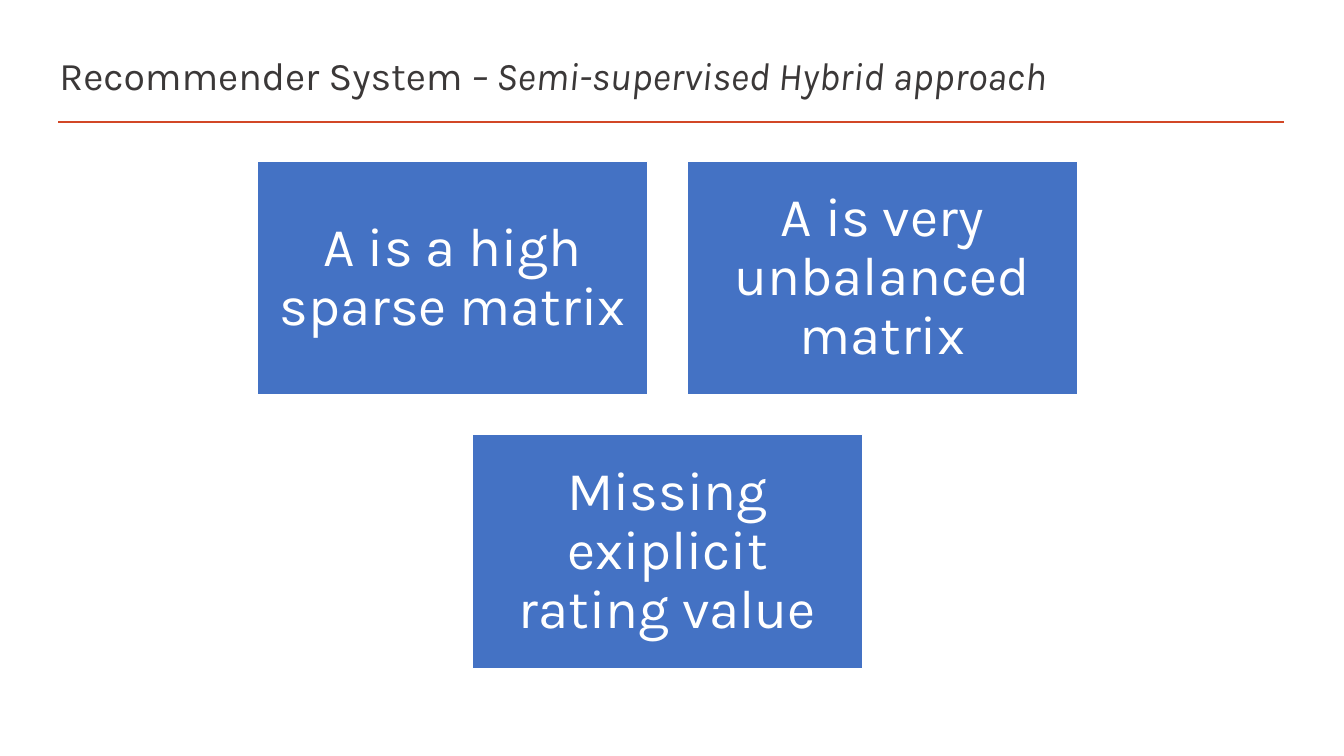
from lxml import etree
from pptx import Presentation
from pptx import util as u
from pptx.dml.color import RGBColor
from pptx.enum import shapes, text
from pptx.oxml import ns

COLORS = {"ink": "3B3838", "rule": "D24726", "card": "4472C4", "white": "FFFFFF"}


def write(para, content, size=28, color="ink", font="Karla", italic=False):
    """Add one formatted run to a paragraph."""
    span = para.add_run()
    span.text = content
    span.font.name = font
    span.font.size = u.Pt(size)
    span.font.italic = italic
    span.font.color.rgb = RGBColor.from_string(COLORS[color])


class Slide:
    """Hold the current page and the style of its elements."""

    card_width, card_height, gap = 3.87, 2.32, 0.39
    card_inset = 0.16

    def __init__(self, page):
        self.page = page

    def title(self, plain, slanted):
        """Add the title with its italic ending."""
        box = self.page.shapes.add_textbox(
            u.Inches(0.49), u.Inches(0.47), u.Inches(12.26), u.Inches(0.61))
        frame = box.text_frame
        frame.word_wrap = True
        frame.vertical_anchor = text.MSO_ANCHOR.MIDDLE
        para = frame.paragraphs[0]
        para.line_spacing = 0.9
        write(para, plain)
        write(para, slanted, italic=True)

    def rule(self, left, right, top):
        """Add a horizontal line."""
        line = self.page.shapes.add_connector(
            shapes.MSO_CONNECTOR.STRAIGHT,
            u.Inches(left), u.Inches(top), u.Inches(right), u.Inches(top))
        line.line.color.rgb = RGBColor.from_string(COLORS["rule"])
        line.line.width = u.Pt(2)
        etree.SubElement(line._element.spPr, ns.qn("a:effectLst"))

    def card(self, content, left, top):
        """Add a filled rectangle with centred text."""
        box = self.page.shapes.add_shape(
            shapes.MSO_SHAPE.RECTANGLE, u.Inches(left), u.Inches(top),
            u.Inches(self.card_width), u.Inches(self.card_height))
        box.shadow.inherit = False
        box.fill.solid()
        box.fill.fore_color.rgb = RGBColor.from_string(COLORS["card"])
        box.line.color.rgb = RGBColor.from_string(COLORS["white"])
        box.line.width = u.Pt(1)
        frame = box.text_frame
        frame.word_wrap = True
        frame.vertical_anchor = text.MSO_ANCHOR.MIDDLE
        frame.margin_left = frame.margin_right = u.Inches(self.card_inset)
        frame.margin_top = frame.margin_bottom = u.Inches(self.card_inset)
        para = frame.paragraphs[0]
        para.alignment = text.PP_ALIGN.CENTER
        para.line_spacing = 0.9
        write(para, content, size=39, color="white")

    def card_rows(self, rows, center, top):
        """Add rows of cards, each row centred."""
        for row, contents in enumerate(rows):
            step = self.card_width + self.gap
            left = center - (len(contents) * step - self.gap) / 2
            for column, content in enumerate(contents):
                self.card(content, left + column * step,
                          top + row * (self.card_height + self.gap))


def main():
    """Build and save the deck."""
    deck = Presentation()
    deck.slide_width, deck.slide_height = u.Inches(13.33), u.Inches(7.5)
    slide = Slide(deck.slides.add_slide(deck.slide_layouts[6]))
    slide.rule(0.58, 12.74, 1.21)
    slide.title("Recommender System", " – Semi-supervised Hybrid approach")
    slide.card_rows([
        ["A is a high sparse matrix", "A is very unbalanced matrix"],
        ["Missing exiplicit rating value"],
    ], center=6.62, top=1.6)
    deck.save("out.pptx")


if __name__ == "__main__":
    main()
